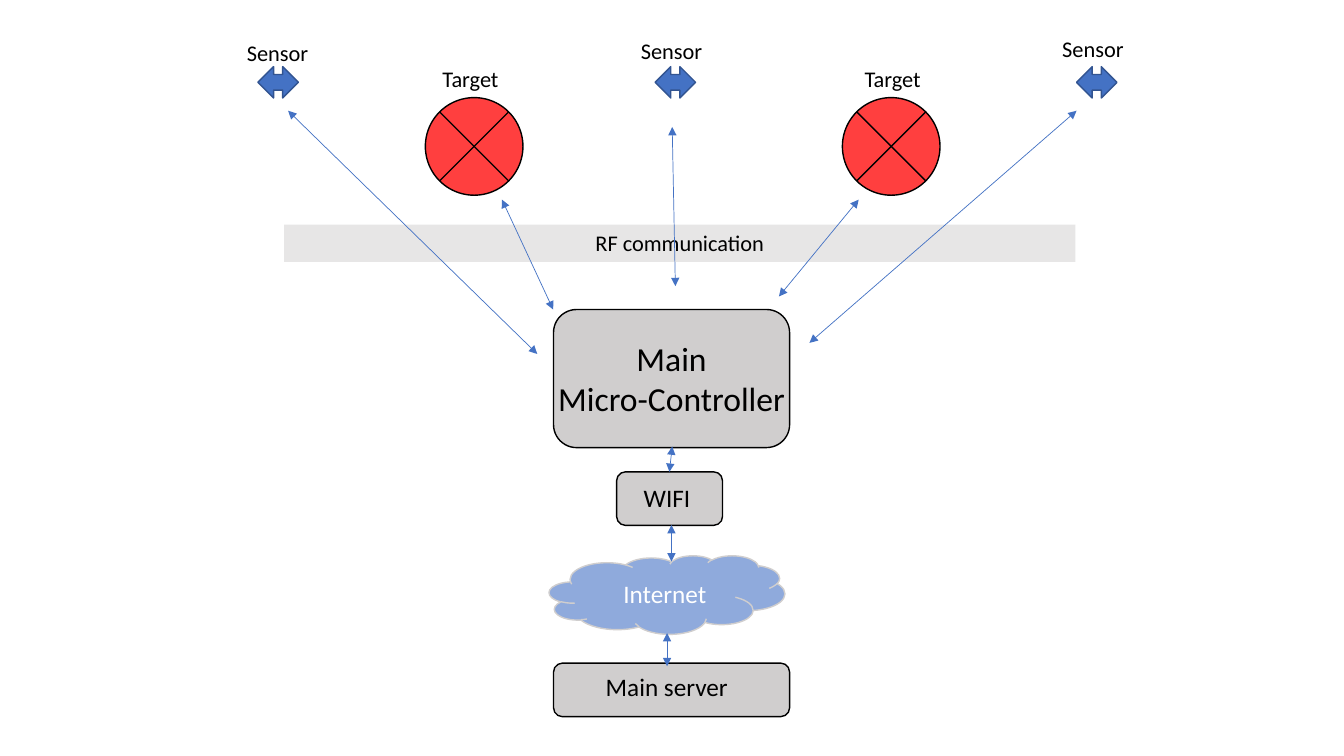
from lxml import etree
from pptx import Presentation
from pptx.dml.color import RGBColor
from pptx.enum.shapes import MSO_CONNECTOR, MSO_SHAPE
from pptx.enum.text import MSO_ANCHOR, PP_ALIGN
from pptx.oxml.ns import qn
from pptx.util import Cm, Pt

RECT, ROUND = MSO_SHAPE.RECTANGLE, MSO_SHAPE.ROUNDED_RECTANGLE
CLOUD, ARROW = MSO_SHAPE.CLOUD, MSO_SHAPE.LEFT_RIGHT_ARROW
JUNCTION = MSO_SHAPE.FLOWCHART_SUMMING_JUNCTION
STRAIGHT = MSO_CONNECTOR.STRAIGHT
LEFT, CENTER = PP_ALIGN.LEFT, PP_ALIGN.CENTER
TOP = MSO_ANCHOR.TOP

FONT = "Calibri"
COLORS = {
    "black": "000000", "white": "FFFFFF", "band": "E7E6E6", "box": "D0CECE",
    "target": "FF3F3F", "blue": "4472C4", "navy": "325491", "cloud": "8FAADC",
}

# All lengths are in centimetres.
# Blocks: preset, fill, line, (left, top, width, height)
BLOCKS = [
    (RECT, "band", None, (7.16, 5.66, 19.94, 0.94)),
    (ROUND, "box", "black", (13.95, 7.8, 5.95, 3.48)),
    (ROUND, "box", "black", (15.54, 11.89, 2.67, 1.35)),
    (CLOUD, "cloud", "box", (13.84, 14, 5.94, 1.98)),
    (ROUND, "box", "black", (13.95, 16.71, 5.95, 1.35)),
]
# Captions: lines, size, colour, (left, top, width, height)
CAPTIONS = [
    (["RF communication"], 16, "black", (7.16, 5.66, 19.94, 0.94)),
    (["Main", "Micro-Controller"], 24, "black", (12.95, 8.38, 7.95, 2.31)),
    (["WIFI"], 18, "black", (15.54, 12.04, 2.54, 1.02)),
    (["Internet"], 18, "white", (14.81, 14.45, 3.89, 1.02)),
    (["Main server"], 18, "black", (14.86, 16.79, 3.89, 1.02)),
]
# Devices: preset, fill, line, top, size, label, [(left, label left, label top)]
DEVICES = [
    (JUNCTION, "target", "black", 2.46, (2.46, 2.46), "Target",
     [(10.72, 10.9, 1.52), (21.23, 21.54, 1.52)]),
    (ARROW, "blue", "navy", 1.68, (1.02, 0.79), "Sensor",
     [(6.5, 5.97, 0.86), (16.51, 15.9, 0.81), (27.13, 26.52, 0.76)]),
]
LABEL_SIZE = (2.46, 0.94)
# Links: from x, from y, to x, to y
RADIO_LINKS = [
    (7.26, 2.79, 13.54, 8.92),
    (12.65, 5.03, 13.94, 7.8),
    (16.94, 3.2, 17.02, 7.21),
    (21.64, 5.03, 19.63, 7.47),
    (27.13, 2.79, 20.4, 8.64),
]
NETWORK_LINKS = [
    (16.87, 11.89, 16.94, 11.25),
    (16.92, 14.15, 16.92, 13.23),
    (16.81, 16.79, 16.81, 15.95),
]


def rgb(name):
    """Return the named colour."""
    return RGBColor.from_string(COLORS[name])


def add_block(shapes, preset, fill, line, box):
    """Draw a filled preset shape, outlined if a line colour is given."""
    sp = shapes.add_shape(preset, *map(Cm, box))
    sp.shadow.inherit = False
    sp.fill.solid()
    sp.fill.fore_color.rgb = rgb(fill)
    if line:
        sp.line.color.rgb = rgb(line)
        sp.line.width = Pt(1)
    else:
        sp.line.fill.background()


def add_text(shapes, lines, size, color, box, align=CENTER):
    """Place a text box with one paragraph per line."""
    tf = shapes.add_textbox(*map(Cm, box)).text_frame
    tf.word_wrap = True
    tf.vertical_anchor = TOP
    for i, line in enumerate(lines):
        p = tf.add_paragraph() if i else tf.paragraphs[0]
        p.alignment = align
        r = p.add_run()
        r.text = line
        r.font.name = FONT
        r.font.size = Pt(size)
        r.font.color.rgb = rgb(color)


def add_link(shapes, ends):
    """Draw a thin line with an arrowhead at both ends."""
    cxn = shapes.add_connector(STRAIGHT, *map(Cm, ends))
    cxn.line.color.rgb = rgb("blue")
    cxn.line.width = Pt(0.5)
    ln = cxn.line._get_or_add_ln()
    for tag in ("a:headEnd", "a:tailEnd"):
        etree.SubElement(ln, qn(tag), type="triangle")
    etree.SubElement(ln.getparent(), qn("a:effectLst"))


def build():
    """Build the slide and save it."""
    prs = Presentation()
    prs.slide_width, prs.slide_height = Cm(33.87), Cm(19.05)
    shapes = prs.slides.add_slide(prs.slide_layouts[6]).shapes

    for block in BLOCKS:
        add_block(shapes, *block)
    for caption in CAPTIONS:
        add_text(shapes, *caption)
    for preset, fill, line, top, size, label, places in DEVICES:
        for left, label_left, label_top in places:
            add_block(shapes, preset, fill, line, (left, top, *size))
            add_text(shapes, [label], 16, "black",
                     (label_left, label_top, *LABEL_SIZE), LEFT)
    for ends in RADIO_LINKS + NETWORK_LINKS:
        add_link(shapes, ends)

    prs.save("out.pptx")


build()
